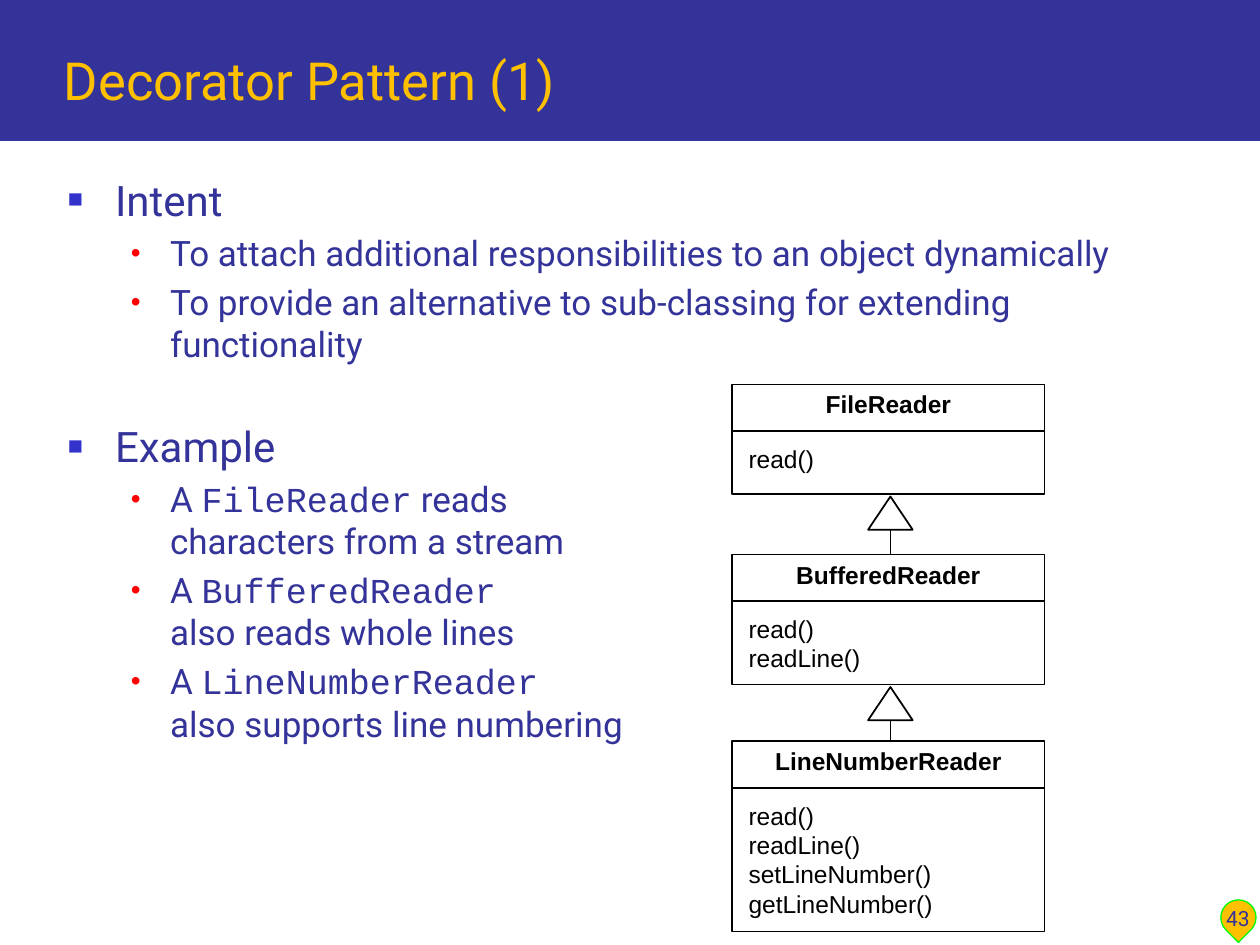
from dataclasses import dataclass

from lxml.etree import SubElement
from pptx import Presentation
from pptx.dml.color import RGBColor
from pptx.enum.shapes import MSO_CONNECTOR as Connector, MSO_SHAPE as Shape
from pptx.enum.text import MSO_ANCHOR as Anchor, PP_ALIGN as Align
from pptx.oxml.ns import qn
from pptx.util import Cm, Pt

NAVY, GOLD, BLACK, WHITE = "333399", "FFC000", "000000", "FFFFFF"
SANS, MONO, DIAGRAM = "Roboto", "Courier New", "Arial"


@dataclass(frozen=True)
class Level:
    size: float
    margin: float
    hanging: float
    bullet: str
    bullet_color: str
    bullet_percent: int


@dataclass(frozen=True)
class Item:
    level: Level
    runs: tuple[tuple[str, str], ...]
    space_before: float = 4


@dataclass(frozen=True)
class ClassBox:
    name: str
    methods: tuple[str, ...]
    top: float
    height: float


TOPIC = Level(24, 0.95, 0.95, "■", "3333CC", 60)
DETAIL = Level(20, 2.06, 0.79, "•", "FF0000", 80)

ITEMS = (
    Item(TOPIC, (("Intent", SANS),), 0),
    Item(DETAIL, (("To attach additional responsibilities to an object dynamically", SANS),)),
    Item(DETAIL, (("To provide an alternative to sub-classing for extending functionality", SANS),)),
    Item(TOPIC, (("Example", SANS),), 32),
    Item(DETAIL, (("A ", SANS), ("FileReader", MONO), (" reads\vcharacters from a stream", SANS))),
    Item(DETAIL, (("A ", SANS), ("BufferedReader", MONO), ("\valso reads whole lines", SANS))),
    Item(DETAIL, (("A ", SANS), ("LineNumberReader", MONO), ("\valso supports line numbering", SANS))),
)

CLASSES = (
    ClassBox("FileReader", ("read()",), 7.75, 2.21),
    ClassBox("BufferedReader", ("read()", "readLine()"), 11.18, 2.62),
    ClassBox("LineNumberReader",
             ("read()", "readLine()", "setLineNumber()", "getLineNumber()"), 14.94, 3.84),
)
CLASS_LEFT, CLASS_WIDTH = 14.76, 6.3
NAME_HEIGHT = 0.94
ARROW_CENTER, ARROW_WIDTH, ARROW_HEIGHT = 17.95, 0.9, 0.67

presentation = Presentation()
presentation.slide_width, presentation.slide_height = Cm(25.4), Cm(19.05)
slide = presentation.slides.add_slide(presentation.slide_layouts[6])


def color(value: str) -> RGBColor:
    return RGBColor.from_string(value)


def add_box(kind, left: float, top: float, width: float, height: float,
            fill: str, line: str = "", line_width: float = 1):
    shape = slide.shapes.add_shape(kind, Cm(left), Cm(top), Cm(width), Cm(height))
    shape.shadow.inherit = False
    shape.fill.solid()
    shape.fill.fore_color.rgb = color(fill)
    if line:
        shape.line.color.rgb = color(line)
        shape.line.width = Pt(line_width)
    else:
        shape.line.fill.background()
    return shape


def add_line(left: float, top: float, right: float, bottom: float) -> None:
    line = slide.shapes.add_connector(
        Connector.STRAIGHT, Cm(left), Cm(top), Cm(right), Cm(bottom))
    line.line.color.rgb = color(BLACK)
    line.line.width = Pt(1)
    SubElement(line._element.spPr, qn("a:effectLst"))


def add_frame(left: float, top: float, width: float, height: float,
              anchor=Anchor.TOP, inset: tuple[float, float] = (0.25, 0.13)):
    frame = slide.shapes.add_textbox(Cm(left), Cm(top), Cm(width), Cm(height)).text_frame
    frame.word_wrap = True
    frame.vertical_anchor = anchor
    frame.margin_left = frame.margin_right = Cm(inset[0])
    frame.margin_top = frame.margin_bottom = Cm(inset[1])
    return frame


def add_run(paragraph, text: str, size: float, font: str, value: str, bold: bool = False) -> None:
    for index, part in enumerate(text.split("\v")):
        if index:
            paragraph.add_line_break()
        if part:
            run = paragraph.add_run()
            run.text = part
            run.font.size, run.font.name, run.font.bold = Pt(size), font, bold
            run.font.color.rgb = color(value)


def next_paragraph(frame, index: int):
    return frame.add_paragraph() if index else frame.paragraphs[0]


def set_bullet(paragraph, level: Level) -> None:
    properties = paragraph._p.get_or_add_pPr()
    properties.set("marL", str(Cm(level.margin)))
    properties.set("indent", str(-Cm(level.hanging)))
    bullet_color = SubElement(properties, qn("a:buClr"))
    SubElement(bullet_color, qn("a:srgbClr"), val=level.bullet_color)
    SubElement(properties, qn("a:buSzPct"), val=str(level.bullet_percent * 1000))
    SubElement(properties, qn("a:buFont"), typeface=DIAGRAM)
    SubElement(properties, qn("a:buChar"), char=level.bullet)


def add_items(items: tuple[Item, ...]) -> None:
    frame = add_frame(1.12, 3.38, 23.57, 13.72)
    frame.margin_right = Cm(0.8)
    for index, item in enumerate(items):
        paragraph = next_paragraph(frame, index)
        paragraph.space_before = Pt(item.space_before)
        set_bullet(paragraph, item.level)
        for text, font in item.runs:
            add_run(paragraph, text, item.level.size, font, NAVY)


def add_class(box: ClassBox) -> None:
    add_box(Shape.RECTANGLE, CLASS_LEFT, box.top, CLASS_WIDTH, box.height, WHITE, BLACK)
    divider = box.top + NAME_HEIGHT
    add_line(CLASS_LEFT, divider, CLASS_LEFT + CLASS_WIDTH, divider)
    name = add_frame(CLASS_LEFT, box.top, CLASS_WIDTH, 0.82, inset=(0.23, 0.1))
    name.paragraphs[0].alignment = Align.CENTER
    add_run(name.paragraphs[0], box.name, 14, DIAGRAM, BLACK, True)
    methods = add_frame(CLASS_LEFT + 0.1, divider + 0.16, 6.5,
                        0.22 + 0.59 * len(box.methods), inset=(0.23, 0.1))
    for index, method in enumerate(box.methods):
        add_run(next_paragraph(methods, index), method, 14, DIAGRAM, BLACK)


def add_inheritance(parent: ClassBox, child: ClassBox) -> None:
    top = parent.top + parent.height + 0.05
    add_box(Shape.ISOSCELES_TRIANGLE, ARROW_CENTER - ARROW_WIDTH / 2, top,
            ARROW_WIDTH, ARROW_HEIGHT, WHITE, BLACK)
    add_line(ARROW_CENTER, top + ARROW_HEIGHT, ARROW_CENTER, child.top)


add_box(Shape.RECTANGLE, 0, 0, 25.4, 2.84, NAVY)
add_box(Shape.TEAR, 24.61, 18.14, 0.71, 0.71, GOLD, "00FF00", 0.75).rotation = 134.9
add_items(ITEMS)

title = add_frame(1.04, 0.43, 23.75, 1.93, Anchor.BOTTOM)
add_run(title.paragraphs[0], "Decorator Pattern (1)", 30, SANS, GOLD)

for class_box in CLASSES:
    add_class(class_box)
for parent_box, child_box in zip(CLASSES, CLASSES[1:]):
    add_inheritance(parent_box, child_box)

page_number = add_frame(24.23, 17.63, 1.45, 1.27, Anchor.BOTTOM)
page_number.paragraphs[0].alignment = Align.CENTER
add_run(page_number.paragraphs[0], "43", 12, SANS, NAVY)

presentation.save("out.pptx")
